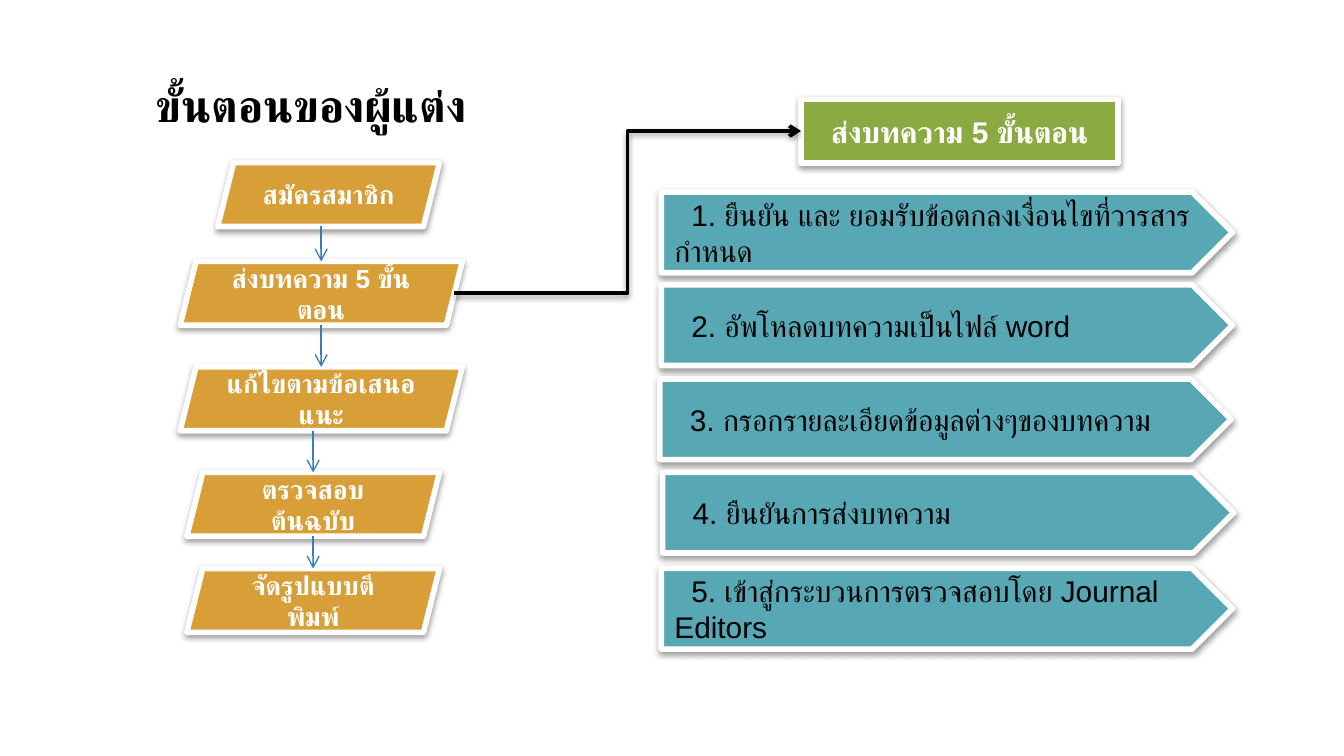
from dataclasses import dataclass

from lxml.etree import SubElement
from pptx import Presentation
from pptx.dml.color import RGBColor
from pptx.enum.shapes import MSO_CONNECTOR as Link, MSO_SHAPE as Preset
from pptx.enum.text import MSO_ANCHOR as Anchor, MSO_AUTO_SIZE as AutoSize, PP_ALIGN as Align
from pptx.oxml.ns import qn
from pptx.util import Emu, Pt

# 200 px to the inch
SCALE = 4572
FONT = "Arial"
BLACK = RGBColor(0x00, 0x00, 0x00)
WHITE = RGBColor(0xFF, 0xFF, 0xFF)
AMBER = RGBColor(0xD8, 0x9F, 0x39)
GREEN = RGBColor(0x8B, 0xAB, 0x42)
TEAL = RGBColor(0x57, 0xA7, 0xB5)
BLUE = RGBColor(0x36, 0x7E, 0xB9)


@dataclass(frozen=True)
class BoxStyle:
    preset: Preset
    fill: RGBColor
    color: RGBColor
    size: int
    bold: bool
    align: Align
    indent: int = 0


@dataclass(frozen=True)
class Box:
    text: str
    left: int
    top: int
    width: int
    height: int


@dataclass(frozen=True)
class Arrow:
    start: tuple[int, int]
    end: tuple[int, int]
    kind: Link = Link.STRAIGHT
    color: RGBColor = BLUE
    weight: float = 0.75
    shadow: bool = False


STAGE = BoxStyle(Preset.PARALLELOGRAM, AMBER, WHITE, 14, True, Align.CENTER)
HEADING = BoxStyle(Preset.RECTANGLE, GREEN, WHITE, 16, True, Align.CENTER)
STEP = BoxStyle(Preset.PENTAGON, TEAL, BLACK, 16, False, Align.LEFT, indent=25)

STAGE_HEIGHT, STEP_WIDTH, STEP_HEIGHT = 95, 850, 120
SUBMISSION = "ส่งบทความ 5 ขั้นตอน"

stages = [
    Box(text, left, top, width, STAGE_HEIGHT)
    for text, left, top, width in [
        ("สมัครสมาชิก", 324, 242, 330),
        (SUBMISSION, 268, 389, 420),
        ("แก้ไขตามข้อเสนอแนะ", 268, 546, 420),
        ("ตรวจสอบต้นฉบับ", 278, 703, 376),
        ("จัดรูปแบบตีพิมพ์", 278, 846, 376),
    ]
]
submission_heading = Box(SUBMISSION, 1192, 148, 472, STAGE_HEIGHT)
steps = [
    Box(f"{number}. {text}", left, top, STEP_WIDTH, STEP_HEIGHT)
    for number, (left, top, text) in enumerate([
        (984, 286, "ยืนยัน และ ยอมรับข้อตกลงเงื่อนไขที่วารสารกำหนด"),
        (984, 424, "อัพโหลดบทความเป็นไฟล์ word"),
        (982, 564, "กรอกรายละเอียดข้อมูลต่างๆของบทความ"),
        (986, 703, "ยืนยันการส่งบทความ"),
        (984, 846, "เข้าสู่กระบวนการตรวจสอบโดย Journal Editors"),
    ], start=1)
]


def px(length: int) -> Emu:
    return Emu(length * SCALE)


def add_shadow(effects) -> None:
    shadow = SubElement(effects, qn("a:outerShdw"), blurRad="40000", dist="20000",
                        dir="5400000", rotWithShape="0")
    color = SubElement(shadow, qn("a:srgbClr"), val=str(BLACK))
    SubElement(color, qn("a:alpha"), val="38000")


def write(frame, text: str, size: int, color: RGBColor, bold: bool) -> None:
    frame.text = text
    font = frame.paragraphs[0].runs[0].font
    font.name, font.size, font.bold = FONT, Pt(size), bold
    font.color.rgb = color
    SubElement(font._element, qn("a:cs"), typeface=FONT)


def draw_box(slide, box: Box, style: BoxStyle) -> None:
    shape = slide.shapes.add_shape(style.preset, px(box.left), px(box.top),
                                   px(box.width), px(box.height))
    shape.fill.solid()
    shape.fill.fore_color.rgb = style.fill
    shape.line.color.rgb = WHITE
    shape.line.width = Pt(3)
    shape.shadow.inherit = False
    add_shadow(shape._element.spPr.find(qn("a:effectLst")))
    frame = shape.text_frame
    frame.word_wrap = True
    frame.vertical_anchor = Anchor.MIDDLE
    write(frame, box.text, style.size, style.color, style.bold)
    paragraph = frame.paragraphs[0]
    paragraph.alignment = style.align
    if style.indent:
        properties = paragraph._p.get_or_add_pPr()
        properties.set("marL", "0")
        properties.set("indent", str(px(style.indent)))


def draw_arrow(slide, arrow: Arrow) -> None:
    connector = slide.shapes.add_connector(arrow.kind, *map(px, arrow.start + arrow.end))
    connector.line.color.rgb = arrow.color
    connector.line.width = Pt(arrow.weight)
    properties = connector._element.spPr
    SubElement(properties.find(qn("a:ln")), qn("a:tailEnd"), type="arrow")
    effects = SubElement(properties, qn("a:effectLst"))
    if arrow.shadow:
        add_shadow(effects)


def main() -> None:
    deck = Presentation()
    deck.slide_width, deck.slide_height = px(2000), px(1125)
    slide = deck.slides.add_slide(deck.slide_layouts[6])

    # Title
    title = slide.shapes.add_textbox(px(212), px(106), px(530), px(134)).text_frame
    title.word_wrap = False
    title.auto_size = AutoSize.SHAPE_TO_FIT_TEXT
    write(title, "ขั้นตอนของผู้แต่ง", 24, BLACK, True)

    # Author stages
    for stage in stages:
        draw_box(slide, stage, STAGE)

    # Submission in five steps
    draw_box(slide, submission_heading, HEADING)
    draw_arrow(slide, Arrow((676, 436), (1192, 195), Link.ELBOW, BLACK, 2, True))
    for step in steps:
        draw_box(slide, step, STEP)

    # Arrows between the stages
    for upper, lower in zip(stages, stages[1:]):
        center = lower.left + lower.width // 2
        draw_arrow(slide, Arrow((center, upper.top + STAGE_HEIGHT), (center, lower.top)))

    deck.save("out.pptx")


if __name__ == "__main__":
    main()
